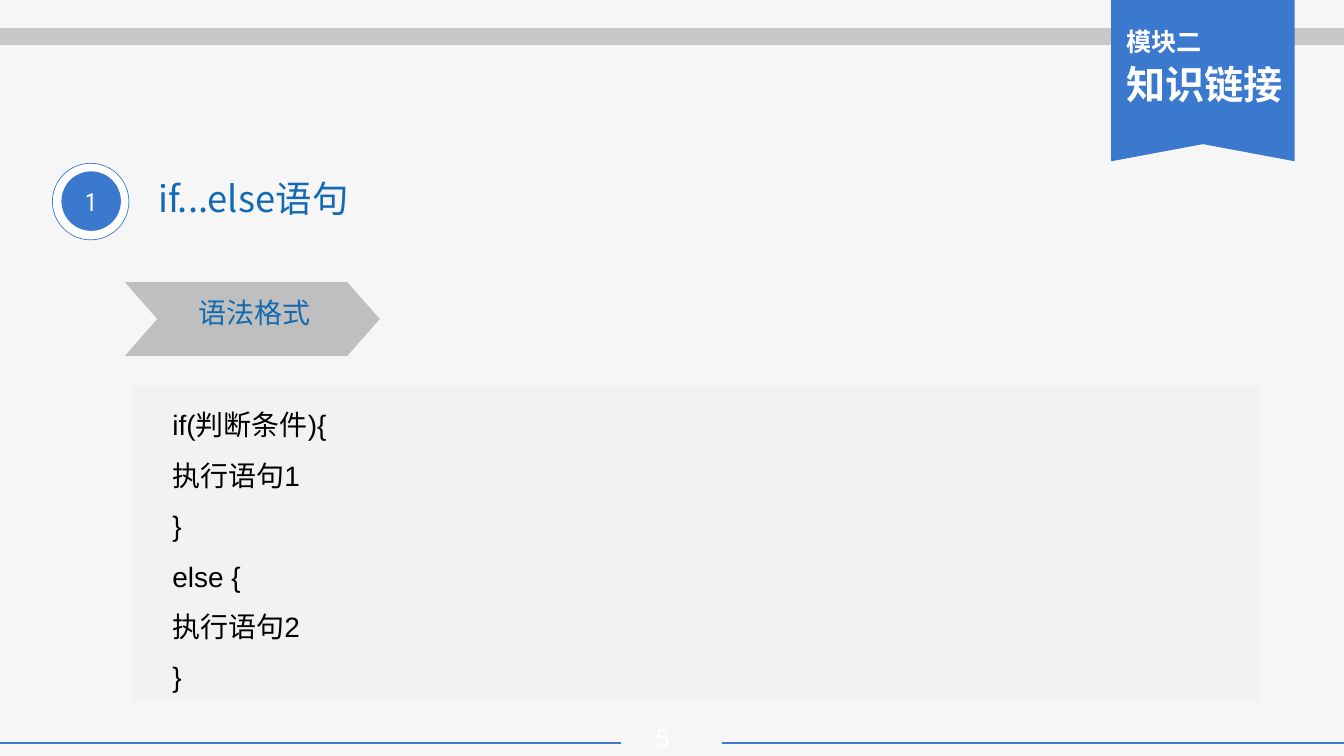
from lxml.etree import SubElement
from pptx import Presentation
from pptx.dml.color import RGBColor
from pptx.enum.shapes import MSO_CONNECTOR, MSO_SHAPE as SHAPE
from pptx.enum.text import MSO_ANCHOR as ANCHOR, MSO_AUTO_SIZE, PP_ALIGN as ALIGN
from pptx.oxml.ns import qn
from pptx.util import Inches, Pt

COLORS = {"page": "F6F6F6", "blue": "3B79CE", "heading": "1369B2", "bar": "C8C8C8",
          "arrow": "BFBFBF", "panel": "F2F2F2", "white": "FFFFFF", "black": "000000"}
CJK = "Noto Sans CJK SC"
WIDTH, HEIGHT = 13.34, 7.5


def color(name):
    return RGBColor.from_string(COLORS[name])


def write(box, lines, sizes, ink, font=CJK, bold=False, align=ALIGN.LEFT, anchor=ANCHOR.TOP,
          wrap=True, indent=0, leading=1.0, before=0, after=0):
    """Fill the box with one paragraph per line; sizes pairs with lines."""
    frame = box.text_frame
    frame.auto_size = MSO_AUTO_SIZE.NONE
    frame.word_wrap = wrap
    frame.vertical_anchor = anchor
    for number, (line, size) in enumerate(zip(lines, sizes)):
        para = frame.add_paragraph() if number else frame.paragraphs[0]
        para.alignment = align
        para.line_spacing = leading
        para.space_before, para.space_after = Pt(before), Pt(after)
        properties = para._p.get_or_add_pPr()
        properties.set("marL", str(Inches(indent)))
        properties.set("indent", "0")
        SubElement(properties, qn("a:buNone"))
        span = para.add_run()
        span.text = line
        span.font.size, span.font.bold, span.font.name = Pt(size), bold, font
        span.font.color.rgb = color(ink)
        SubElement(span._r.get_or_add_rPr(), qn("a:ea")).set("typeface", CJK)


deck = Presentation()
deck.slide_width, deck.slide_height = Inches(WIDTH), Inches(HEIGHT)
page = deck.slides.add_slide(deck.slide_layouts[1])
page.background.fill.solid()
page.background.fill.fore_color.rgb = color("page")
shapes = page.shapes

# Header bar and split footer rule
for start, end, y, ink, weight in [(7.17, WIDTH, 7.37, "blue", 1.77),
                                   (0, 6.16, 7.37, "blue", 1.77),
                                   (0, WIDTH, 0.36, "bar", 12)]:
    rule = shapes.add_connector(MSO_CONNECTOR.STRAIGHT, Inches(start), Inches(y),
                                Inches(end), Inches(y))
    rule.line.color.rgb = color(ink)
    rule.line.width = Pt(weight)
    SubElement(rule._element.spPr, qn("a:effectLst"))

# Ribbon with a notched lower edge
left, right, bottom, notch = 11.03, 12.85, 1.6, 1.43
outline = shapes.build_freeform(Inches(left), 0, scale=1.0)
outline.add_line_segments([(Inches(x), Inches(y)) for x, y in [
    (right, 0), (right, bottom), ((left + right) / 2, notch), (left, bottom)]])
ribbon = outline.convert_to_shape()

# Numbered badge and section arrow
ring = shapes.add_shape(SHAPE.OVAL, *map(Inches, (0.52, 1.62, 0.76, 0.76)))
badge = shapes.add_shape(SHAPE.OVAL, *map(Inches, (0.61, 1.7, 0.59, 0.59)))
arrow = shapes.add_shape(SHAPE.CHEVRON, *map(Inches, (1.24, 2.8, 2.53, 0.73)))
arrow.adjustments[0] = 0.44
for shape, fill in [(ribbon, "blue"), (ring, "white"), (badge, "blue"), (arrow, "arrow")]:
    shape.shadow.inherit = False
    shape.fill.solid()
    shape.fill.fore_color.rgb = color(fill)
    shape.line.fill.background()
ring.line.color.rgb = color("blue")
ring.line.width = Pt(0.5)
write(badge, ["1"], [18], "white", font="Roboto Condensed", align=ALIGN.CENTER,
      anchor=ANCHOR.MIDDLE)

# Title and code panel
title, code = shapes.title, page.placeholders[1]
for box, place in [(title, (1.47, 1.7, 3.53, 0.47)), (code, (1.32, 3.83, 11.18, 3.13))]:
    box.left, box.top, box.width, box.height = map(Inches, place)
write(title, ["if...else语句"], [26], "heading")
code.fill.solid()
code.fill.fore_color.rgb = color("panel")
code_lines = ["if(判断条件){", "执行语句1", "}", "else {", "执行语句2", "}"]
write(code, code_lines, [20] * len(code_lines), "black", font="Arial", indent=0.29, leading=1.5)

# Labels
section = shapes.add_textbox(*map(Inches, (1.87, 2.88, 1.31, 0.44)))
write(section, ["语法格式"], [20], "heading", wrap=False)
module = shapes.add_textbox(*map(Inches, (11.08, 0.21, 1.78, 0.92)))
write(module, ["模块二", "知识链接"], [18, 28], "white", bold=True, after=3)
page_number = shapes.add_textbox(*map(Inches, (6.16, 7.12, 0.84, 0.4)))
write(page_number, ["5"], [18], "white", font="Arial", align=ALIGN.CENTER, anchor=ANCHOR.MIDDLE)

deck.save("out.pptx")
